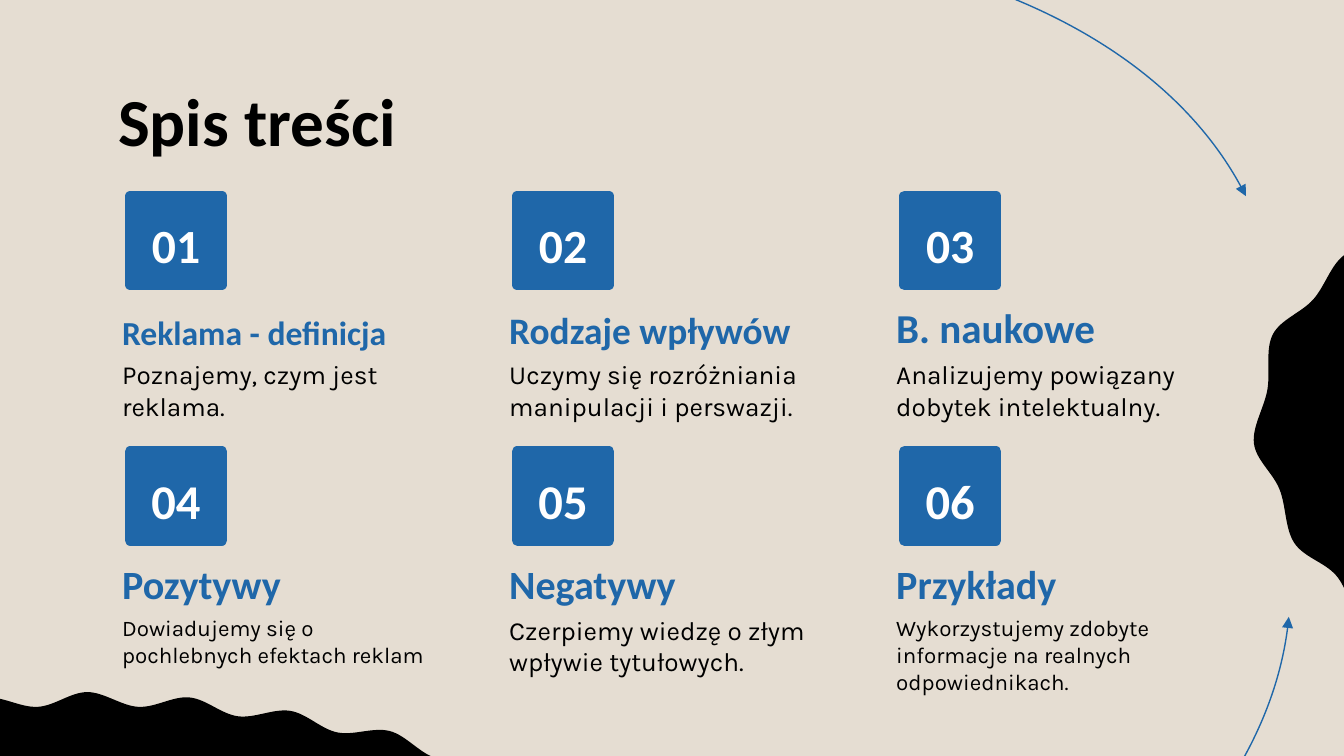
import lxml.etree
import pptx
import pptx.dml.color
import pptx.enum.shapes
import pptx.enum.text
import pptx.oxml.ns
import pptx.util

Inches = pptx.util.Inches
Pt = pptx.util.Pt
qn = pptx.oxml.ns.qn
ANCHOR = pptx.enum.text.MSO_ANCHOR
ALIGN = pptx.enum.text.PP_ALIGN
rgb = pptx.dml.color.RGBColor.from_string
BLUE, BLACK, WHITE, SAND = "1F67A9", "000000", "FFFFFF", "E5DDD2"


def add_curve(s, points):
    pts = [(Inches(x), Inches(y)) for x, y in points]
    builder = s.shapes.build_freeform(*pts[0])
    builder.add_line_segments(pts[1:], close=False)
    sp = builder.convert_to_shape()
    sp.shadow.inherit = False
    lines = list(sp._element.iter(qn("a:lnTo")))
    for first, second, third in zip(lines[::3], lines[1::3], lines[2::3]):
        first.tag = qn("a:cubicBezTo")
        first.extend([second[0], third[0]])
        first.getparent().remove(second)
        first.getparent().remove(third)
    return sp


def write(sp, lines, font, size, color, bold, anchor, align=ALIGN.LEFT, spacing=1.0):
    tf = sp.text_frame
    tf.word_wrap = True
    tf.auto_size = pptx.enum.text.MSO_AUTO_SIZE.NONE
    tf.vertical_anchor = anchor
    tf.margin_left = tf.margin_right = tf.margin_top = tf.margin_bottom = Inches(0.1)
    for i, line in enumerate(lines):
        p = tf.add_paragraph() if i else tf.paragraphs[0]
        p.alignment = align
        p.line_spacing = spacing
        r = p.add_run()
        r.text = line
        r.font.name = font
        r.font.size = Pt(size)
        r.font.bold = bold
        r.font.color.rgb = rgb(color)


prs = pptx.Presentation()
prs.slide_width = Inches(10)
prs.slide_height = prs.slide_width * 9 // 16
s = prs.slides.add_slide(prs.slide_layouts[5])
s.background.fill.solid()
s.background.fill.fore_color.rgb = rgb(SAND)

half = [
    (1.32, 10.11), (1.71, 10.07), (2.07, 10.21), (2.45, 10.14), (2.83, 10.25),
    (3.2, 10.14), (3.59, 10.21), (3.95, 10.07), (4.34, 10.1), (4.69, 9.9),
    (5.08, 9.87), (5.39, 9.62), (5.76, 9.5), (5.99, 9.17), (6.29, 8.91),
    (6.33, 8.5), (6.43, 8.1), (6.24, 7.76), (6.13, 7.36), (5.82, 7.12),
    (5.62, 6.78), (5.26, 6.62), (5, 6.32), (4.62, 6.22), (4.33, 5.96),
    (3.94, 5.9), (3.63, 5.67), (3.24, 5.64), (2.9, 5.44), (2.51, 5.45),
]
center_x, center_y = 1.74, 7.7
nodes = half + [(2 * center_x - x, 2 * center_y - y) for x, y in half]
outline = [nodes[0]]
for i in range(len(nodes)):
    before, start, end, after = [nodes[(i + k) % len(nodes)] for k in (-1, 0, 1, 2)]
    outline.append([b + (c - a) / 6 for a, b, c in zip(before, start, end)])
    outline.append([b - (c - a) / 6 for a, b, c in zip(start, end, after)])
    outline.append(end)

for dx, dy in [(0, 0), (12.28, -4)]:
    blob = add_curve(s, [(x + dx, y + dy) for x, y in outline])
    blob.fill.solid()
    blob.fill.fore_color.rgb = rgb(BLACK)
    blob.line.fill.background()

arrows = [
    [(5.73, 8.03), (7.42, 7.68), (9.43, 6.3), (9.59, 4.59)],
    [(4.42, -0.35), (6.13, -0.64), (8.5, -0.08), (9.27, 1.46)],
]
for points in arrows:
    arrow = add_curve(s, points)
    arrow.fill.background()
    arrow.line.color.rgb = rgb(BLUE)
    arrow.line.width = Pt(0.75)
    lxml.etree.SubElement(arrow.line._get_or_add_ln(), qn("a:tailEnd"), type="triangle")

title = s.shapes.title
title.left, title.top = Inches(0.78), Inches(0.49)
title.width, title.height = Inches(8.43), Inches(0.63)
write(title, ["Spis treści"], "Calibri", 36, BLACK, True, ANCHOR.TOP)

topics = [
    ("Reklama - definicja", 18, ["Poznajemy, czym jest reklama."], 14),
    ("Rodzaje wpływów", 20, ["Uczymy się rozróżniania", "manipulacji i perswazji."], 14),
    ("B. naukowe", 22, ["Analizujemy powiązany dobytek intelektualny."], 14),
    ("Pozytywy", 21.5, ["Dowiadujemy się o", "pochlebnych efektach reklam"], 12),
    ("Negatywy", 21.5, ["Czerpiemy wiedzę o złym wpływie tytułowych."], 14),
    ("Przykłady", 21.5, ["Wykorzystujemy zdobyte informacje na realnych odpowiednikach."], 12),
]
for i, (heading, heading_size, body, body_size) in enumerate(topics):
    row, col = divmod(i, 3)
    left = 0.81 + 2.88 * col
    top = 1.46 + 1.9 * row

    box = s.shapes.add_shape(pptx.enum.shapes.MSO_SHAPE.RECTANGLE, Inches(left + 0.16),
                             Inches(top), Inches(0.68), Inches(0.66))
    box.shadow.inherit = False
    box.fill.solid()
    box.fill.fore_color.rgb = rgb(BLUE)
    box.line.color.rgb = rgb(BLUE)
    box.line.width = Pt(6)
    lxml.etree.SubElement(box.line._get_or_add_ln(), qn("a:round"))
    write(box, [f"{i + 1:02}"], "Calibri", 26 if row else 25.5, WHITE, True,
          ANCHOR.MIDDLE, ALIGN.CENTER, 1.15)

    sp = s.shapes.add_textbox(Inches(left), Inches(top + 0.79), Inches(2.62), Inches(0.47))
    write(sp, [heading], "Calibri", heading_size, BLUE, True, ANCHOR.BOTTOM)
    sp = s.shapes.add_textbox(Inches(left), Inches(top + 1.11), Inches(2.62), Inches(0.56))
    write(sp, body, "Karla", body_size, BLACK, False, ANCHOR.TOP)

prs.save("out.pptx")
